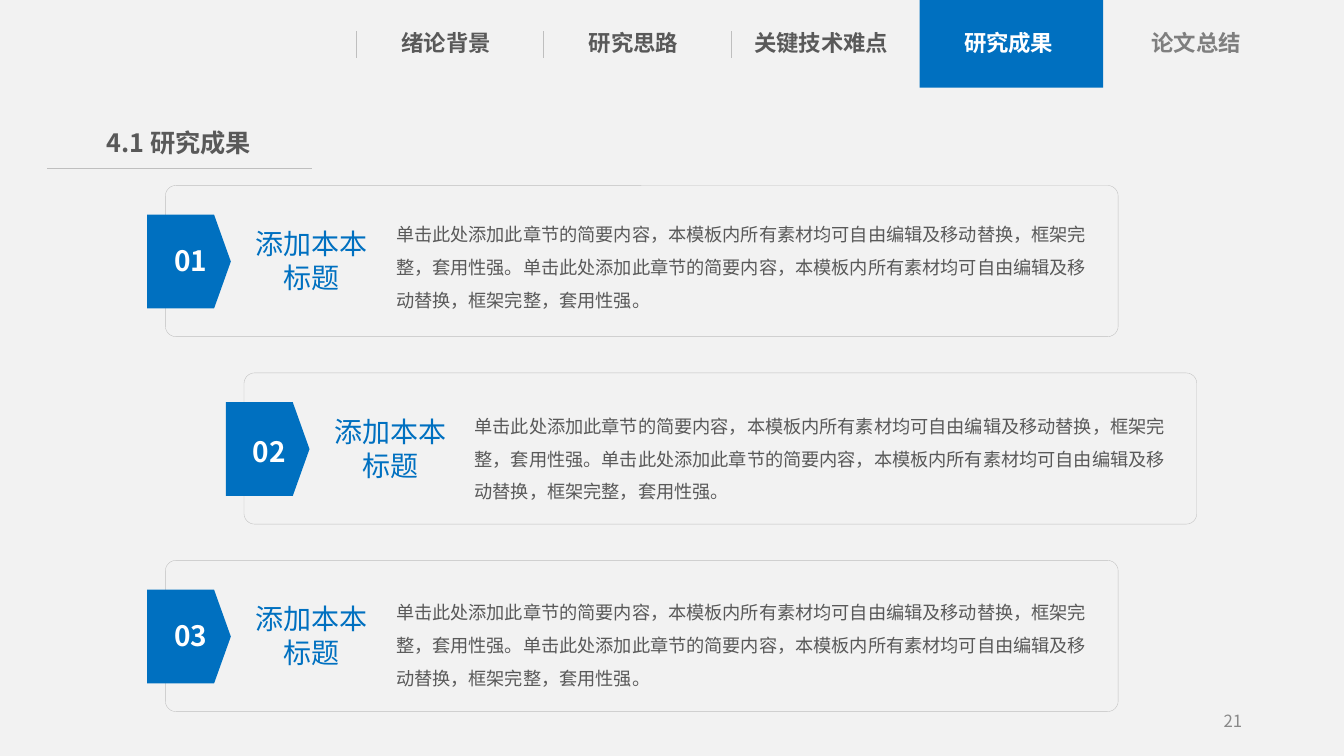
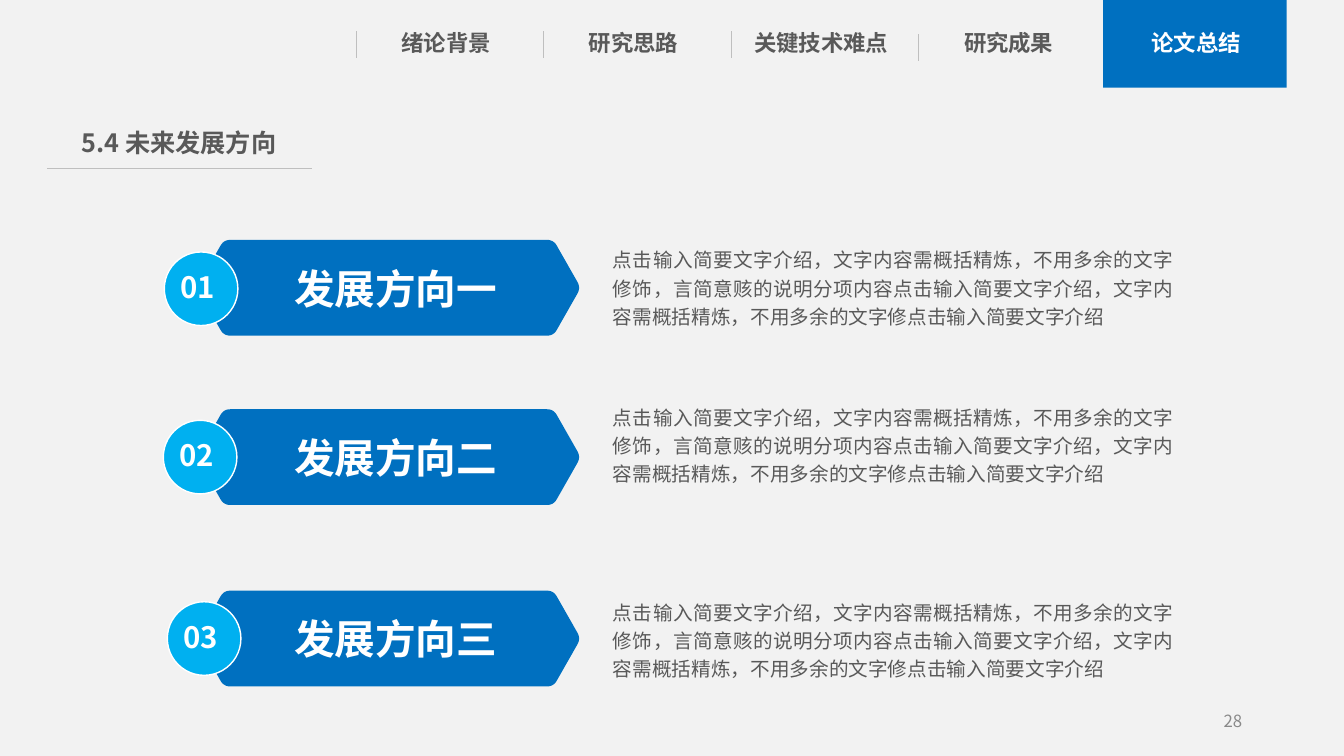
from dataclasses import dataclass
from typing import Any

from lxml import etree
from pptx import Presentation
from pptx import util as u
from pptx.dml.color import RGBColor
from pptx.enum import shapes, text
from pptx.oxml.ns import qn

# Shared look
FONT = "Noto Sans CJK SC"
PAPER = RGBColor(0xF2, 0xF2, 0xF2)
WHITE = RGBColor(0xFF, 0xFF, 0xFF)
BLUE = RGBColor(0x00, 0x70, 0xC0)
SKY = RGBColor(0x00, 0xB0, 0xF0)
INK = RGBColor(0x59, 0x59, 0x59)
GREY = RGBColor(0x7F, 0x7F, 0x7F)
PALE = RGBColor(0x89, 0x89, 0x89)
RULE = RGBColor(0xBF, 0xBF, 0xBF)

LEFT, CENTER = text.PP_ALIGN.LEFT, text.PP_ALIGN.CENTER
RIGHT, JUSTIFY = text.PP_ALIGN.RIGHT, text.PP_ALIGN.JUSTIFY
SHAPE = shapes.MSO_SHAPE

TABS = ("绪论背景", "研究思路", "关键技术难点", "研究成果", "论文总结")
TAB_STEP = 1.86
BAND_HEIGHT = 0.87

CARD_TITLE = "添加本本标题"
CARD_BODY = "单击此处添加此章节的简要内容，本模板内所有素材均可自由编辑及移动替换，框架完整，套用性强。" * 2
DIRECTION_BODY = (
    "点击输入简要文字介绍，文字内容需概括精炼，不用多余的文字修饰，言简意赅的说明分项内容"
    "点击输入简要文字介绍，文字内容需概括精炼，不用多余的文字修点击输入简要文字介绍"
)


@dataclass(frozen=True)
class Style:
    size: float
    color: RGBColor
    bold: bool = False
    align: Any = LEFT
    spacing: Any = None
    middle: bool = False
    margins: tuple[float, float] = (0.1, 0.05)


TAB = Style(16, INK, True, CENTER, margins=(0, 0.05))
TAB_ACTIVE = Style(16, WHITE, True, CENTER, margins=(0, 0.05))
TAB_LATER = Style(16, GREY, True, CENTER, margins=(0, 0.05))
HEADING = Style(18, INK, True, CENTER, margins=(0, 0.05))
PAGE_NUMBER = Style(12, PALE, align=RIGHT, middle=True)
CARD_NUMBER = Style(20, WHITE, True, CENTER)
CARD_HEAD = Style(20, BLUE, align=CENTER, middle=True)
CARD_TEXT = Style(13, INK, spacing=1.5)
BADGE_NUMBER = Style(21, WHITE, True)
BANNER_TITLE = Style(29, WHITE, True, CENTER, margins=(0, 0))
DIRECTION_TEXT = Style(14, INK, align=JUSTIFY, spacing=u.Pt(20), margins=(0, 0))


@dataclass(frozen=True)
class Card:
    number: str
    left: float
    body_drop: float
    number_drop: float


@dataclass(frozen=True)
class Direction:
    number: str
    title: str
    banner_top: float
    body_top: float
    badge_left: float
    badge_top: float


CARDS = (
    Card("01", 1.64, 0.22, 0.53),
    Card("02", 2.42, 0.26, 0.56),
    Card("03", 1.64, 0.25, 0.53),
)
DIRECTIONS = (
    Direction("01", "发展方向一", 2.38, 2.42, 1.63, 2.50),
    Direction("02", "发展方向二", 4.06, 3.98, 1.62, 4.17),
    Direction("03", "发展方向三", 5.86, 5.92, 1.66, 5.97),
)


# Drawing helpers
def add_text(tree: Any, words: str, left: float, top: float,
             width: float, height: float, style: Style) -> None:
    box = tree.add_textbox(*map(u.Inches, (left, top, width, height)))
    frame = box.text_frame
    frame.word_wrap = True
    side, edge = map(u.Inches, style.margins)
    frame.margin_left = frame.margin_right = side
    frame.margin_top = frame.margin_bottom = edge
    if style.middle:
        frame.vertical_anchor = text.MSO_ANCHOR.MIDDLE
    para = frame.paragraphs[0]
    para.text = words
    para.alignment = style.align
    if style.spacing is not None:
        para.line_spacing = style.spacing
    font = para.font
    font.size, font.bold, font.name = u.Pt(style.size), style.bold, FONT
    font.color.rgb = style.color
    # East Asian glyphs need their own typeface entry
    defaults = para._p.pPr.find(qn("a:defRPr"))
    etree.SubElement(defaults, qn("a:ea")).set("typeface", FONT)


def paint(shape: Any, fill: RGBColor, line: RGBColor | None = None, weight: float = 0) -> None:
    shape.shadow.inherit = False
    shape.fill.solid()
    shape.fill.fore_color.rgb = fill
    if line is None:
        shape.line.fill.background()
    else:
        shape.line.color.rgb = line
        shape.line.width = u.Pt(weight)


def add_block(tree: Any, kind: Any, left: float, top: float, width: float, height: float,
              fill: RGBColor, line: RGBColor | None = None, weight: float = 0) -> Any:
    block = tree.add_shape(kind, *map(u.Inches, (left, top, width, height)))
    paint(block, fill, line, weight)
    return block


def add_rule(tree: Any, x1: float, y1: float, x2: float, y2: float) -> None:
    rule = tree.add_connector(shapes.MSO_CONNECTOR.STRAIGHT, *map(u.Inches, (x1, y1, x2, y2)))
    rule.line.color.rgb = RULE
    rule.line.width = u.Pt(0.5)
    etree.SubElement(rule._element.spPr, qn("a:effectLst"))


def add_banner(tree: Any, top: float) -> None:
    """Draw a long hexagon with softly rounded corners."""
    middle, bottom = top + 0.475, top + 0.95
    corners = [(2.22, top), (5.49, top), (5.76, middle),
               (5.49, bottom), (2.22, bottom), (1.95, middle)]
    cut, steps = 0.065, 6
    points = []
    for index, (x, y) in enumerate(corners):
        ends = []
        for near_x, near_y in (corners[index - 1], corners[(index + 1) % len(corners)]):
            share = cut / ((near_x - x) ** 2 + (near_y - y) ** 2) ** 0.5
            ends.append((x + (near_x - x) * share, y + (near_y - y) * share))
        (ax, ay), (bx, by) = ends
        for step in range(steps + 1):
            t = step / steps
            points.append((
                u.Inches((1 - t) ** 2 * ax + 2 * t * (1 - t) * x + t * t * bx),
                u.Inches((1 - t) ** 2 * ay + 2 * t * (1 - t) * y + t * t * by),
            ))
    outline = tree.build_freeform(*points[0])
    outline.add_line_segments(points[1:], close=True)
    paint(outline.convert_to_shape(), BLUE)


# Frame common to every page
def add_page(deck: Any, active: int, heading: str, number: str) -> Any:
    page = deck.slides.add_slide(deck.slide_layouts[6])
    tree = page.shapes
    add_text(tree, number, 9.42, 6.95, 3, 0.4, PAGE_NUMBER)
    add_block(tree, SHAPE.RECTANGLE, 0, 0, 13.33, BAND_HEIGHT, PAPER)
    add_block(tree, SHAPE.RECTANGLE, 9.12 + 1.82 * (active - 3), 0, 1.82, BAND_HEIGHT, BLUE)
    for index, label in enumerate(TABS):
        style = TAB if index < active else TAB_ACTIVE if index == active else TAB_LATER
        add_text(tree, label, 3.69 + TAB_STEP * index, 0.24, 1.47, 0.38, style)
    for index in range(active):
        left = 3.53 + TAB_STEP * index
        top = 0.34 if index == 3 else 0.31
        add_rule(tree, left, top, left, top + 0.27)
    add_rule(tree, 0.47, 1.67, 3.09, 1.67)
    add_text(tree, heading, 0.74, 1.21, 2.07, 0.42, HEADING)
    return page


# Page contents
def add_card(page: Any, card: Card, top: float) -> None:
    tree = page.shapes.add_group_shape().shapes
    left = card.left
    panel = add_block(tree, SHAPE.ROUNDED_RECTANGLE, left, top, 9.45, 1.5, PAPER, RULE, 0.25)
    panel.adjustments[0] = 0.07
    pointer = add_block(tree, SHAPE.FLOWCHART_OFFPAGE_CONNECTOR,
                        left - 0.23, top + 0.34, 0.93, 0.83, BLUE)
    pointer.rotation = 270
    add_text(tree, CARD_TITLE, left + 0.72, top + 0.33, 1.46, 0.83, CARD_HEAD)
    add_text(tree, CARD_BODY, left + 2.19, top + card.body_drop, 7.1, 1.08, CARD_TEXT)
    add_text(tree, card.number, left - 0.11, top + card.number_drop, 0.72, 0.44, CARD_NUMBER)


def add_direction(page: Any, item: Direction) -> None:
    tree = page.shapes
    add_banner(tree, item.banner_top)
    add_text(tree, DIRECTION_BODY, 6.08, item.body_top, 5.56, 0.84, DIRECTION_TEXT)
    badge = tree.add_group_shape().shapes
    text_top = item.badge_top + 0.12
    add_block(badge, SHAPE.OVAL, item.badge_left, item.badge_top, 0.73, 0.73, SKY, WHITE, 1)
    add_text(badge, item.number, item.badge_left + 0.06, text_top, 0.57, 0.46, BADGE_NUMBER)
    add_text(tree, item.title, 2.67, text_top, 2.51, 0.49, BANNER_TITLE)


def main() -> None:
    deck = Presentation()
    deck.slide_width, deck.slide_height = u.Inches(13.33), u.Inches(7.5)
    backdrop = deck.slide_master.background.fill
    backdrop.solid()
    backdrop.fore_color.rgb = PAPER

    # Research results
    page = add_page(deck, 3, "4.1 研究成果", "21")
    for index, card in enumerate(CARDS):
        add_card(page, card, 1.84 + 1.86 * index)

    # Future directions
    page = add_page(deck, 4, "5.4 未来发展方向", "28")
    for item in DIRECTIONS:
        add_direction(page, item)

    deck.save("out.pptx")


if __name__ == "__main__":
    main()
